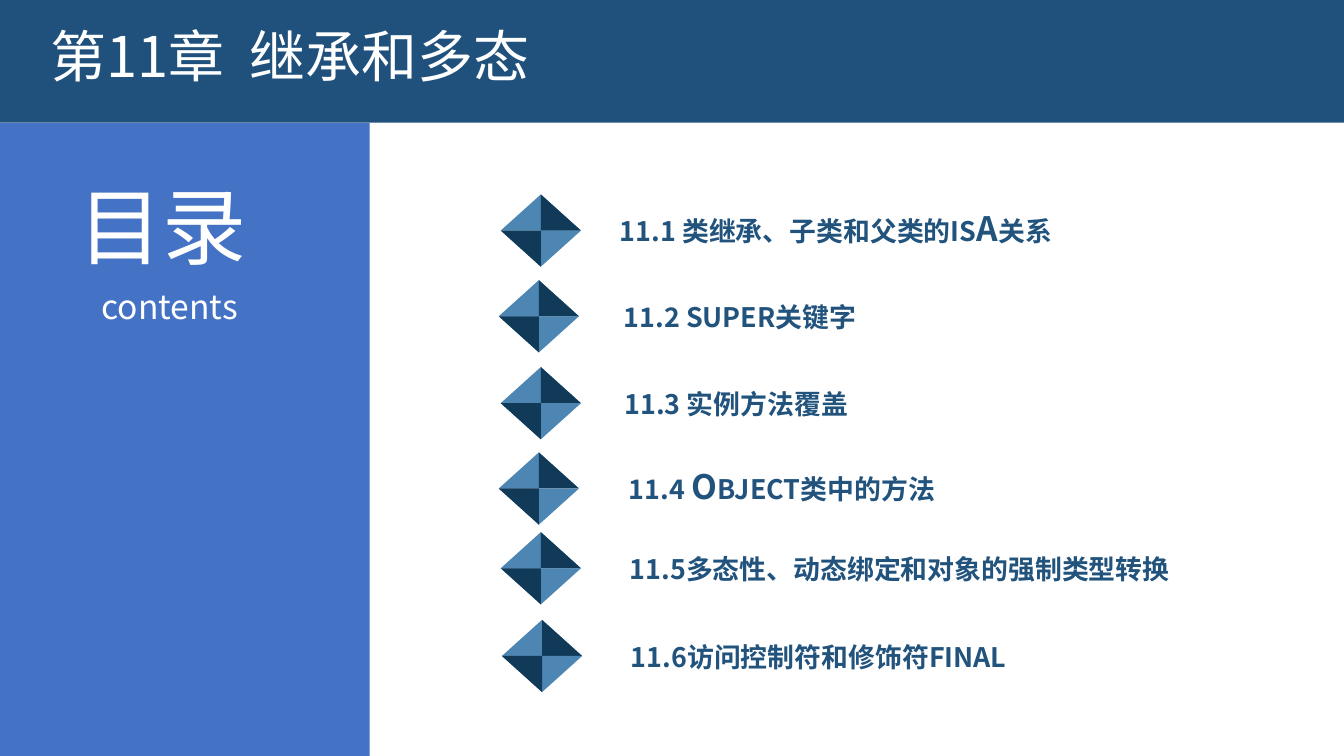
"""Build the contents slide of chapter 11, inheritance and polymorphism."""
from pptx import Presentation
from pptx.dml.color import RGBColor
from pptx.enum.shapes import MSO_SHAPE
from pptx.oxml.ns import qn
from pptx.util import Cm, Pt
from lxml import etree

RECTANGLE = MSO_SHAPE.RECTANGLE
TRIANGLE = MSO_SHAPE.ISOSCELES_TRIANGLE
FONT = "Noto Sans CJK SC"
WHITE = RGBColor(0xFF, 0xFF, 0xFF)
BANNER_BLUE = RGBColor(0x20, 0x51, 0x7C)
SIDEBAR_BLUE = RGBColor(0x44, 0x72, 0xC4)
ENTRY_BLUE = RGBColor(0x21, 0x53, 0x7D)
LIGHT_FACET = RGBColor(0x4D, 0x86, 0xB3)
DARK_FACET = RGBColor(0x11, 0x3A, 0x59)

PANELS = [
    (-0.03, -0.03, 33.93, 3.12, BANNER_BLUE),
    (0, 3.1, 9.32, 15.95, SIDEBAR_BLUE),
]
HEADINGS = [
    ("第11章  继承和多态", 1.02, 0.43, 20.47, 1.96, 40),
    ("目录", 1.73, 4.27, 5.56, 2.82, 60),
    ("contents", 2.31, 7.09, 4.42, 1.3, 24),
]
# entry text, diamond left, diamond top, text left
ENTRIES = [
    ("11.1 类继承、子类和父类的isA关系", 12.62, 4.9, 15.42),
    ("11.2 super关键字", 12.57, 7.06, 15.52),
    ("11.3 实例方法覆盖", 12.62, 9.25, 15.54),
    ("11.4 Object类中的方法", 12.57, 11.4, 15.65),
    ("11.5多态性、动态绑定和对象的强制类型转换", 12.62, 13.41, 15.67),
    ("11.6访问控制符和修饰符final", 12.65, 15.62, 15.7),
]
HALF_WIDTH, HALF_HEIGHT = 1.01, 0.91
ENTRY_DROP, ENTRY_WIDTH, ENTRY_HEIGHT = 0.25, 17.6, 1.22


def paint(shape, color):
    shape.shadow.inherit = False
    shape.fill.solid()
    shape.fill.fore_color.rgb = color
    shape.line.fill.background()


def add_text(slide, text, left, top, width, height, size, color):
    box = slide.shapes.add_textbox(Cm(left), Cm(top), Cm(width), Cm(height))
    frame = box.text_frame
    frame.word_wrap = True
    paragraph = frame.paragraphs[0]
    run = paragraph.add_run()
    run.text = text
    font = paragraph.font
    font.size, font.name, font.color.rgb = Pt(size), FONT, color
    properties = run.font._element
    etree.SubElement(properties, qn("a:ea")).set("typeface", FONT)
    return frame, properties


def add_diamond(slide, left, top):
    diamond = slide.shapes.add_group_shape().shapes
    center, middle = left + HALF_WIDTH, top + HALF_HEIGHT
    right, bottom = center + HALF_WIDTH, middle + HALF_HEIGHT
    for half_top, rotation, tip, corner in (
        (top, 0, top, right),
        (middle, 180, bottom, left),
    ):
        half = diamond.add_shape(TRIANGLE, Cm(left), Cm(half_top),
                                 Cm(2 * HALF_WIDTH), Cm(HALF_HEIGHT))
        half.rotation = rotation
        paint(half, LIGHT_FACET)
        outline = diamond.build_freeform(Cm(center), Cm(tip))
        outline.add_line_segments(
            [(Cm(center), Cm(middle)), (Cm(corner), Cm(middle))])
        paint(outline.convert_to_shape(), DARK_FACET)


def add_entry(slide, text, left, top):
    frame, properties = add_text(slide, text, left, top, ENTRY_WIDTH,
                                 ENTRY_HEIGHT, 24, ENTRY_BLUE)
    frame.margin_left = frame.margin_right = Cm(0.2)
    frame.margin_top = frame.margin_bottom = Cm(0.1)
    frame.paragraphs[0].font.bold = True
    properties.set("cap", "small")


def main():
    deck = Presentation()
    deck.slide_width, deck.slide_height = Cm(33.87), Cm(19.05)
    slide = deck.slides.add_slide(deck.slide_layouts[6])
    for left, top, width, height, color in PANELS:
        panel = slide.shapes.add_shape(RECTANGLE, Cm(left), Cm(top),
                                       Cm(width), Cm(height))
        paint(panel, color)
    for heading in HEADINGS:
        add_text(slide, *heading, WHITE)
    for text, diamond_left, top, text_left in ENTRIES:
        add_diamond(slide, diamond_left, top)
        add_entry(slide, text, text_left, top + ENTRY_DROP)
    deck.save("out.pptx")


if __name__ == "__main__":
    main()
